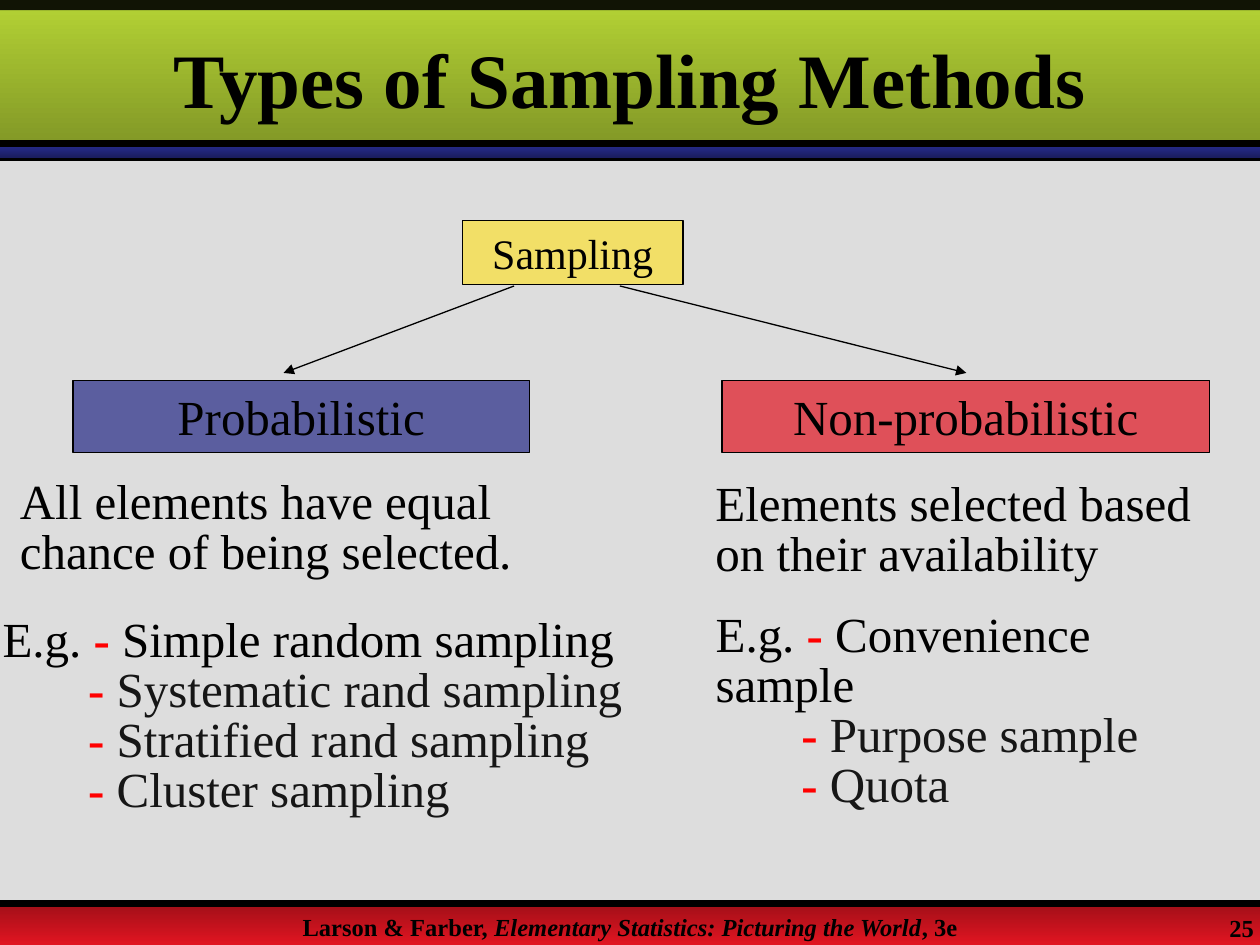
from lxml import etree
from pptx import Presentation
from pptx.dml.color import RGBColor
from pptx.enum import shapes, text
from pptx.oxml import ns
from pptx.util import Inches, Pt

COLORS = {
    "background": "DDDDDD", "black": "000000", "red": "FF0000", "item": "161616",
    "green": "B5D335", "dark green": "819726", "blue": "242985", "dark blue": "1A1D5F",
    "crimson": "E11521", "dark crimson": "A10F18", "yellow": "FBE136",
}
LIST_INDENT = Inches(0.68)


def rgb(name):
    return RGBColor.from_string(COLORS[name])


class SlideBuilder:
    font_name = "Times New Roman"

    def __init__(self, slide):
        self.slide = slide
        slide.background.fill.solid()
        slide.background.fill.fore_color.rgb = rgb("background")

    def place(self, shape, left, top, width, height):
        shape.left, shape.top = Inches(left), Inches(top)
        shape.width, shape.height = Inches(width), Inches(height)

    def style(self, font, size, color="black", bold=False, italic=False):
        font.name, font.size = self.font_name, Pt(size)
        font.bold, font.italic = bold, italic
        font.color.rgb = rgb(color)

    def add_run(self, paragraph, wording, size, **look):
        run = paragraph.add_run()
        run.text = wording
        self.style(run.font, size, **look)

    def rectangle(self, left, top, width, height):
        shape = self.slide.shapes.add_shape(
            shapes.MSO_SHAPE.RECTANGLE,
            Inches(left), Inches(top), Inches(width), Inches(height))
        shape.shadow.inherit = False
        shape.line.fill.background()
        return shape

    def gradient_band(self, top, height, start, end):
        fill = self.rectangle(0, top, 10, height).fill
        fill.gradient()
        fill.gradient_angle = 270
        for stop, color in zip(fill.gradient_stops, (start, end)):
            stop.color.rgb = rgb(color)

    def clear_rectangle(self, left, top, width, height, color, opacity):
        """Rectangle with a partly transparent fill."""
        shape = self.rectangle(left, top, width, height)
        shape.fill.solid()
        shape.fill.fore_color.rgb = rgb(color)
        color_element = shape.fill._xPr.find(".//" + ns.qn("a:srgbClr"))
        etree.SubElement(color_element, ns.qn("a:alpha"), val=str(opacity * 1000))
        return shape

    def box(self, left, top, width, height, color, wording, size):
        shape = self.clear_rectangle(left, top, width, height, color, 70)
        shape.line.color.rgb = rgb("black")
        shape.line.width = Pt(0.75)
        shape.text_frame.text = wording
        paragraph = shape.text_frame.paragraphs[0]
        paragraph.alignment = text.PP_ALIGN.CENTER
        self.style(paragraph.runs[0].font, size)

    def line(self, start, end, width, arrow=False):
        connector = self.slide.shapes.add_connector(
            shapes.MSO_CONNECTOR.STRAIGHT, *map(Inches, start + end))
        connector.line.color.rgb = rgb("black")
        connector.line.width = Pt(width)
        if arrow:
            etree.SubElement(connector.line._get_or_add_ln(), ns.qn("a:tailEnd"), type="triangle")
        etree.SubElement(connector._element.spPr, ns.qn("a:effectLst"))

    def text_box(self, left, top, width, height, runs, size, wrap=True,
                 align=text.PP_ALIGN.LEFT, spacing=1.0):
        frame = self.slide.shapes.add_textbox(
            Inches(left), Inches(top), Inches(width), Inches(height)).text_frame
        frame.word_wrap = wrap
        paragraph = frame.paragraphs[0]
        paragraph.alignment, paragraph.line_spacing = align, spacing
        for wording, look in runs:
            self.add_run(paragraph, wording, size, **look)

    def title(self, wording):
        shape = self.slide.shapes.title
        self.place(shape, 0, 0.08, 10, 1.08)
        frame = shape.text_frame
        frame.text = wording
        frame.auto_size = text.MSO_AUTO_SIZE.NONE
        frame.vertical_anchor = text.MSO_ANCHOR.MIDDLE
        frame.paragraphs[0].alignment = text.PP_ALIGN.CENTER
        self.style(frame.paragraphs[0].runs[0].font, 44, bold=True)
        # Bring the title in front of the header band
        self.slide.shapes._spTree.append(shape._element)

    def examples(self, placeholder, left, top, width, items):
        self.place(placeholder, left, top, width, 2.23)
        frame = placeholder.text_frame
        frame.auto_size = text.MSO_AUTO_SIZE.NONE
        for index, item in enumerate(items):
            paragraph = frame.add_paragraph() if index else frame.paragraphs[0]
            properties = paragraph._p.get_or_add_pPr()
            properties.set("marL", str(LIST_INDENT if index else 0))
            properties.set("indent", "0")
            etree.SubElement(properties, ns.qn("a:buNone"))
            paragraph.space_before = Pt(0)
            paragraph.line_spacing = 0.85
            if index == 0:
                self.add_run(paragraph, "E.g. ", 28)
            self.add_run(paragraph, "-", 28, color="red", bold=True)
            self.add_run(paragraph, " " + item, 28, color="item" if index else "black")


def main():
    presentation = Presentation()
    presentation.slide_width, presentation.slide_height = Inches(10), Inches(7.5)
    slide = presentation.slides.add_slide(presentation.slide_layouts[3])
    builder = SlideBuilder(slide)

    # Header and footer bands
    builder.gradient_band(7.17, 0.33, "dark crimson", "crimson")
    builder.line((0, 1.25), (10, 1.25), 4)
    builder.gradient_band(1.17, 0.08, "blue", "dark blue")
    builder.gradient_band(0, 1.17, "green", "dark green")
    builder.line((0, 7.17), (10, 7.17), 4)
    builder.clear_rectangle(0, 0, 10, 0.08, "black", 90)
    builder.line((0, 1.14), (10, 1.14), 4)

    # Footer credit and page number
    bold = {"bold": True}
    builder.text_box(0, 7.19, 10, 0.2, [
        ("Larson & Farber, ", bold),
        ("Elementary Statistics: Picturing the World", {"bold": True, "italic": True}),
        (", 3e", bold)], 14, align=text.PP_ALIGN.CENTER)
    builder.text_box(9.66, 7.2, 0.43, 0.33, [("25", bold)], 14, wrap=False)

    builder.title("Types of Sampling Methods")

    # Tree of sampling methods
    builder.box(3.67, 1.75, 1.75, 0.51, "yellow", "Sampling", 24)
    builder.line((4.08, 2.27), (2.25, 2.96), 0.75, arrow=True)
    builder.line((4.92, 2.27), (7.67, 2.96), 0.75, arrow=True)
    builder.box(0.58, 3.02, 3.62, 0.57, "blue", "Probabilistic", 28)
    builder.box(5.73, 3.02, 3.87, 0.57, "crimson", "Non-probabilistic", 28)

    # Definitions
    builder.text_box(0.06, 3.76, 4.6, 0.91, [
        ("All elements have equal chance of being selected.", {})], 28, spacing=0.85)
    builder.text_box(5.58, 3.77, 4.12, 0.9, [
        ("Elements selected based on their availability", {})], 28, spacing=0.85)

    # Examples
    builder.examples(slide.placeholders[1], -0.08, 4.85, 5.17, [
        "Simple random sampling", "Systematic rand sampling",
        "Stratified rand sampling", "Cluster sampling"])
    builder.examples(slide.placeholders[2], 5.58, 4.81, 4.25, [
        "Convenience sample", "Purpose sample", "Quota"])

    presentation.save("out.pptx")


if __name__ == "__main__":
    main()
